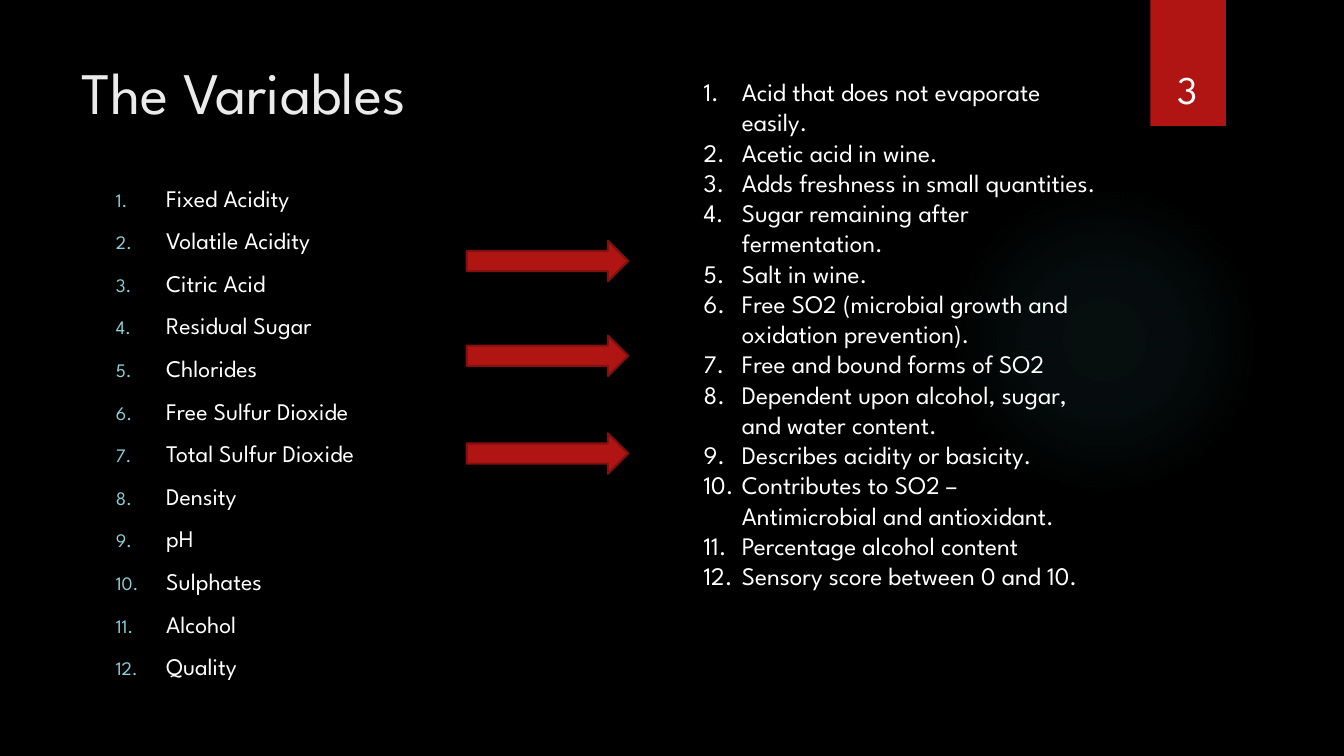
from lxml import etree
from pptx import Presentation
from pptx import util as u
from pptx.dml.color import RGBColor
from pptx.enum import shapes, text
from pptx.oxml.ns import qn

NAMES = ["Fixed Acidity", "Volatile Acidity", "Citric Acid", "Residual Sugar",
         "Chlorides", "Free Sulfur Dioxide", "Total Sulfur Dioxide", "Density",
         "pH", "Sulphates", "Alcohol", "Quality"]
NOTES = ["Acid that does not evaporate easily.",
         "Acetic acid in wine.",
         "Adds freshness in small quantities.",
         "Sugar remaining after fermentation.",
         "Salt in wine.",
         "Free SO2 (microbial growth and oxidation prevention).",
         "Free and bound forms of SO2",
         "Dependent upon alcohol, sugar, and water content.",
         "Describes acidity or basicity.",
         "Contributes to SO2 – Antimicrobial and antioxidant.",
         "Percentage alcohol content",
         "Sensory score between 0 and 10."]


def color(code):
    return RGBColor.from_string(code)


def child(node, tag, **attrs):
    return etree.SubElement(node, qn(tag), attrs)


class Page:
    font = "League Spartan"
    white, pale, teal = "FFFFFF", "EBEBEB", "8AD0D6"
    red, dark, glow = "B01513", "82100E", "50B9C1"

    def __init__(self, deck):
        self.slide = deck.slides.add_slide(deck.slide_layouts[6])
        back = self.slide.background.fill
        back.solid()
        back.fore_color.rgb = color("000000")

    def block(self, kind, box, edge=None):
        shape = self.slide.shapes.add_shape(kind, *map(u.Inches, box))
        shape.shadow.inherit = False
        shape.fill.solid()
        shape.fill.fore_color.rgb = color(self.red)
        if edge:
            shape.line.color.rgb = color(edge)
            shape.line.width = u.Pt(1.5)
        else:
            shape.line.fill.background()
        return shape

    def halo(self, box, stops):
        """Soft round light; stops are (place, opacity) in percent."""
        shape = self.block(shapes.MSO_SHAPE.OVAL, box)
        shape.fill.gradient()
        grad = shape.fill._xPr.find(qn("a:gradFill"))
        for node in list(grad):
            grad.remove(node)
        ramp = child(grad, "a:gsLst")
        for place, alpha in stops:
            stop = child(ramp, "a:gs", pos=str(place * 1000))
            tint = child(stop, "a:srgbClr", val=self.glow)
            child(tint, "a:alpha", val=str(alpha * 1000))
        focus = child(grad, "a:path", path="circle")
        child(focus, "a:fillToRect", l="50000", t="50000", r="50000", b="50000")

    def words(self, box, lines, size, tone=white, align=text.PP_ALIGN.LEFT,
              anchor=text.MSO_ANCHOR.TOP):
        frame = self.slide.shapes.add_textbox(*map(u.Inches, box)).text_frame
        frame.word_wrap = True
        frame.vertical_anchor = anchor
        for i, line in enumerate(lines):
            para = frame.paragraphs[0] if i == 0 else frame.add_paragraph()
            para.alignment = align
            run = para.add_run()
            run.text = line
            run.font.name = self.font
            run.font.size = u.Pt(size)
            run.font.color.rgb = color(tone)
        return frame

    def list(self, box, lines, size, indent, gap=0, tone=None, scale=100):
        """Numbered list with a hanging indent."""
        for para in self.words(box, lines, size).paragraphs:
            para.space_before = u.Pt(gap)
            props = para._p.get_or_add_pPr()
            props.set("marL", str(u.Inches(indent)))
            props.set("indent", str(-u.Inches(indent)))
            if tone:
                child(child(props, "a:buClr"), "a:srgbClr", val=tone)
            child(props, "a:buSzPct", val=str(scale * 1000))
            child(props, "a:buFont", typeface="+mj-lt")
            child(props, "a:buAutoNum", type="arabicPeriod")


def main():
    deck = Presentation()
    deck.slide_width, deck.slide_height = u.Inches(13.33), u.Inches(7.5)
    page = Page(deck)

    # Backdrop and page tab
    page.halo((9.41, 1.83, 3.08, 3.08), [(0, 7), (36, 6), (69, 0)])
    page.block(shapes.MSO_SHAPE.RECTANGLE, (11.41, 0, 0.75, 1.25))

    # Title, variables, page number and meanings
    page.words((0.71, 0.5, 10.29, 1.53), ["The Variables"], 42, page.pale)
    page.list((1.05, 1.77, 9.78, 4.59), NAMES, 17, 0.5, 10, page.teal, 80)
    page.words((11.32, 0.32, 0.92, 0.84), ["3"], 28,
               align=text.PP_ALIGN.CENTER, anchor=text.MSO_ANCHOR.BOTTOM)
    page.list((6.88, 0.71, 4.11, 7.07), NOTES, 18, 0.38)

    # Arrows from variables to meanings
    for top in (2.39, 3.33, 4.3):
        page.block(shapes.MSO_SHAPE.RIGHT_ARROW, (4.63, top, 1.6, 0.4), page.dark)

    deck.save("out.pptx")


if __name__ == "__main__":
    main()
